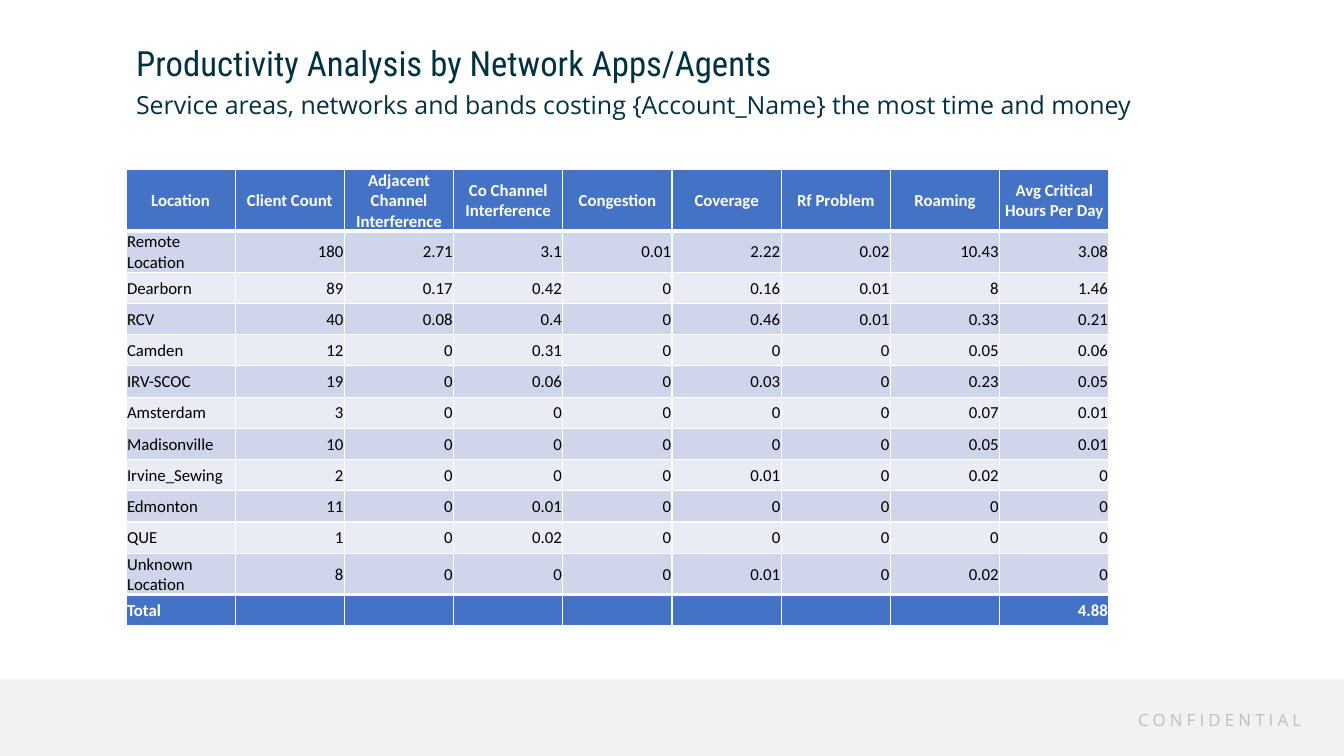
from lxml.etree import SubElement
from pptx import Presentation
from pptx.dml.color import RGBColor
from pptx.enum.shapes import MSO_SHAPE
from pptx.enum.text import MSO_ANCHOR, MSO_AUTO_SIZE, PP_ALIGN
from pptx.oxml.ns import qn
from pptx.util import Inches, Pt

WHITE, BLACK, NAVY, BLUE = "FFFFFF", "000000", "033144", "4472C4"
BANDS = "CFD5EA", "E9EBF5"
HEADING = [
    ("Productivity Analysis by Network Apps/Agents", "Roboto Condensed", 24.8),
    ("Service areas, networks and bands costing {Account_Name} the most time and money",
     "Open Sans", 17.8),
]
ROWS = [
    ["Location", "Client Count", "Adjacent Channel Interference", "Co Channel Interference",
     "Congestion", "Coverage", "Rf Problem", "Roaming", "Avg Critical Hours Per Day"],
    ["Remote Location", 180, 2.71, 3.1, 0.01, 2.22, 0.02, 10.43, 3.08],
    ["Dearborn", 89, 0.17, 0.42, 0, 0.16, 0.01, 8, 1.46],
    ["RCV", 40, 0.08, 0.4, 0, 0.46, 0.01, 0.33, 0.21],
    ["Camden", 12, 0, 0.31, 0, 0, 0, 0.05, 0.06],
    ["IRV-SCOC", 19, 0, 0.06, 0, 0.03, 0, 0.23, 0.05],
    ["Amsterdam", 3, 0, 0, 0, 0, 0, 0.07, 0.01],
    ["Madisonville", 10, 0, 0, 0, 0, 0, 0.05, 0.01],
    ["Irvine_Sewing", 2, 0, 0, 0, 0.01, 0, 0.02, 0],
    ["Edmonton", 11, 0, 0.01, 0, 0, 0, 0, 0],
    ["QUE", 1, 0, 0.02, 0, 0, 0, 0, 0],
    ["Unknown Location", 8, 0, 0, 0, 0.01, 0, 0.02, 0],
    ["Total", "", "", "", "", "", "", "", 4.88],
]


def rgb(color):
    """Turn a hex string into a colour."""
    return RGBColor.from_string(color)


def set_attrs(obj, values):
    """Set each named value on the object."""
    for name, value in values.items():
        setattr(obj, name, value)


def add_text(p, text, font, size, color, bold=False):
    """Add a formatted run to a paragraph."""
    r = p.add_run()
    r.text = text
    set_attrs(r.font, {"name": font, "size": Pt(size), "bold": bold})
    r.font.color.rgb = rgb(color)
    return r


def add_heading(slide, left, top, width, height):
    """Fill the title placeholder with the headline and its subtitle."""
    sp = slide.shapes.title
    set_attrs(sp, {"left": Inches(left), "top": Inches(top),
                   "width": Inches(width), "height": Inches(height)})
    tf = sp.text_frame
    set_attrs(tf, {"word_wrap": True, "auto_size": MSO_AUTO_SIZE.NONE,
                   "vertical_anchor": MSO_ANCHOR.MIDDLE})
    for i, (text, font, size) in enumerate(HEADING):
        p = tf.add_paragraph() if i else tf.paragraphs[0]
        set_attrs(p, {"alignment": PP_ALIGN.LEFT, "line_spacing": 0.9,
                      "space_before": Pt(0), "space_after": Pt(6)})
        add_text(p, text, font, size, NAVY)


def add_borders(cell, weights):
    """Draw white cell borders from a dict of side and weight."""
    tc_pr = cell._tc.get_or_add_tcPr()
    for side, weight in weights.items():
        ln = SubElement(tc_pr, qn("a:ln" + side), w=str(Pt(weight)))
        SubElement(SubElement(ln, qn("a:solidFill")), qn("a:srgbClr"), val=WHITE)


def add_loss_table(slide, left, top, width, head_height, row_height):
    """Add the table of critical hours by location."""
    n_rows, n_cols = len(ROWS), len(ROWS[0])
    last = n_rows - 1
    table = slide.shapes.add_table(
        n_rows, n_cols, Inches(left), Inches(top), Inches(width),
        Inches(head_height + row_height * last)).table
    set_attrs(table, {"first_row": True, "last_row": True, "horz_banding": False})
    for i, row in enumerate(ROWS):
        table.rows[i].height = Inches(row_height if i else head_height)
        strong = i in (0, last)
        for j, value in enumerate(row):
            cell = table.cell(i, j)
            add_borders(cell, {"L": 1, "R": 1, "T": 3 if i in (1, last) else 1,
                               "B": 3 if i in (0, last - 1) else 1})
            cell.fill.solid()
            cell.fill.fore_color.rgb = rgb(BLUE if strong else BANDS[(i - 1) % 2])
            set_attrs(cell, {"margin_left": Inches(0.01), "margin_right": Inches(0.01),
                             "margin_top": Inches(0.01), "margin_bottom": 0,
                             "vertical_anchor": MSO_ANCHOR.MIDDLE})
            p = cell.text_frame.paragraphs[0]
            body_align = PP_ALIGN.RIGHT if j else PP_ALIGN.LEFT
            p.alignment = body_align if i else PP_ALIGN.CENTER
            add_text(p, str(value), "Calibri", 12, WHITE if strong else BLACK, strong)


def add_footer(slide, left, top, width, height):
    """Add the grey footer band and its spaced label."""
    band = slide.shapes.add_shape(MSO_SHAPE.RECTANGLE, Inches(left), Inches(top),
                                  Inches(width), Inches(height))
    band.shadow.inherit = False
    band.fill.solid()
    band.fill.fore_color.rgb = rgb("F2F2F2")
    band.line.fill.background()
    label = slide.shapes.add_textbox(Inches(left + width - 2.14), Inches(top + 0.25),
                                     Inches(1.88), Inches(0.3))
    tf = label.text_frame
    set_attrs(tf, {"word_wrap": False, "auto_size": MSO_AUTO_SIZE.SHAPE_TO_FIT_TEXT})
    r = add_text(tf.paragraphs[0], "CONFIDENTIAL", "Open Sans", 12, "BFBFBF")
    r._r.get_or_add_rPr().set("spc", "300")


def main():
    """Build and save the slide."""
    prs = Presentation()
    set_attrs(prs, {"slide_width": Inches(13.33), "slide_height": Inches(7.5)})
    slide = prs.slides.add_slide(prs.slide_layouts[5])
    add_footer(slide, 0, 6.74, 13.33, 0.76)
    add_heading(slide, 1.25, 0.33, 10.83, 0.99)
    add_loss_table(slide, 1.25, 1.68, 9.75, 0.6, 0.31)
    prs.save("out.pptx")


if __name__ == "__main__":
    main()
